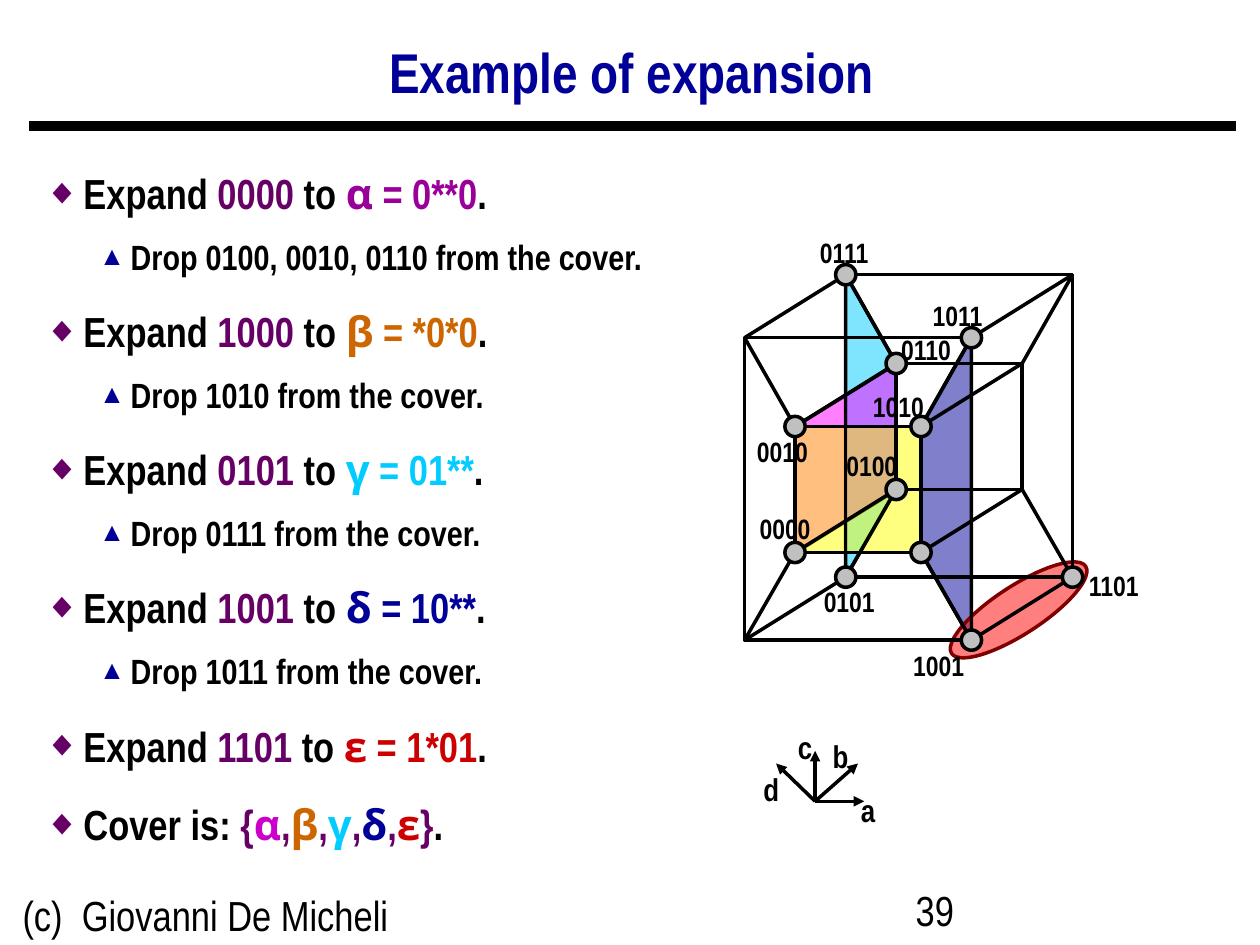
from itertools import product

from lxml.etree import SubElement
from pptx import Presentation
from pptx.dml.color import RGBColor
from pptx.enum.shapes import MSO_CONNECTOR as CONNECTOR, MSO_SHAPE as SHAPE
from pptx.enum.text import MSO_ANCHOR as ANCHOR, MSO_AUTO_SIZE as AUTO_SIZE, PP_ALIGN as ALIGN
from pptx.oxml.ns import qn
from pptx.util import Pt

BLACK = RGBColor(0x00, 0x00, 0x00)
NAVY = RGBColor(0x00, 0x00, 0x99)
PLUM = RGBColor(0x66, 0x00, 0x66)
PURPLE = RGBColor(0x99, 0x00, 0x99)
ORCHID = RGBColor(0xCC, 0x00, 0xCC)
ORANGE = RGBColor(0xCC, 0x66, 0x00)
CYAN = RGBColor(0x00, 0xCC, 0xFF)
CRIMSON = RGBColor(0xCC, 0x00, 0x00)
MAGENTA = RGBColor(0xFF, 0x00, 0xFF)
YELLOW = RGBColor(0xFF, 0xFF, 0x00)
RED = RGBColor(0xFF, 0x00, 0x00)
MAROON = RGBColor(0x80, 0x00, 0x00)
SILVER = RGBColor(0xC0, 0xC0, 0xC0)
NARROW, GREEK = "Arial Narrow", "Noto Sans"


def draw_line(shapes, start, end, width=2, arrow=False):
    line = shapes.add_connector(CONNECTOR.STRAIGHT, *map(Pt, start + end))
    line.line.color.rgb = BLACK
    line.line.width = Pt(width)
    if arrow:
        SubElement(line.line._get_or_add_ln(), qn("a:tailEnd"), type="triangle")
    SubElement(line._element.spPr, qn("a:effectLst"))


def write_text(shapes, text, box, size, bold=True, align=ALIGN.CENTER):
    frame = shapes.add_textbox(*map(Pt, box)).text_frame
    frame.word_wrap = align == ALIGN.LEFT
    frame.auto_size = AUTO_SIZE.NONE if frame.word_wrap else AUTO_SIZE.SHAPE_TO_FIT_TEXT
    paragraph = frame.paragraphs[0]
    paragraph.alignment = align
    run = paragraph.add_run()
    run.text = text
    for key, value in {"name": NARROW, "size": Pt(size), "bold": bold}.items():
        setattr(run.font, key, value)
    run.font.color.rgb = BLACK


prs = Presentation()
prs.slide_width, prs.slide_height = Pt(720), Pt(540)
slide = prs.slides.add_slide(prs.slide_layouts[1])
shapes = slide.shapes

# Rule and footer
draw_line(shapes, (16.5, 72), (706.5, 72), width=6)
write_text(shapes, "(c)  Giovanni De Micheli", (5.8, 504.7, 227.5, 37.4), 24, False, ALIGN.LEFT)
write_text(shapes, "39", (516.2, 501.8, 167.8, 37.4), 24, False, ALIGN.LEFT)

# Title and body frames
title, body = shapes.title, slide.placeholders[1]
for holder, box, anchor in ((title, (18.7, 15.8, 684.7, 54), ANCHOR.MIDDLE),
                            (body, (18, 85, 684.7, 409.7), ANCHOR.TOP)):
    holder.left, holder.top, holder.width, holder.height = map(Pt, box)
    holder.text_frame.auto_size = AUTO_SIZE.NONE
    holder.text_frame.vertical_anchor = anchor
heading = title.text_frame.paragraphs[0]
heading.text = "Example of expansion"
heading.alignment, heading.line_spacing = ALIGN.CENTER, 0.9
for key, value in {"name": NARROW, "size": Pt(32), "bold": True}.items():
    setattr(heading.runs[0].font, key, value)
heading.runs[0].font.color.rgb = NAVY

# Expansion steps: minterm, implicant letter, cube, colour, dropped minterms
steps = [
    ("0000", "α", "0**0", PURPLE, "0100, 0010, 0110"),
    ("1000", "β", "*0*0", ORANGE, "1010"),
    ("0101", "γ", "01**", CYAN, "0111"),
    ("1001", "δ", "10**", NAVY, "1011"),
    ("1101", "ε", "1*01", CRIMSON, None),
]
items = []
for minterm, letter, cube, color, dropped in steps:
    items.append((0, [("Expand ", BLACK), (minterm, PLUM), (" to ", BLACK),
                      (letter, color), (f" = {cube}", color), (".", BLACK)]))
    if dropped:
        items.append((1, [(f"Drop {dropped} from the cover.", BLACK)]))
cover = [("Cover is: ", BLACK), ("{", PLUM)]
for _, letter, _, color, _ in steps:
    cover += [(letter, ORCHID if letter == "α" else color), (",", PLUM)]
cover[-1] = ("}", PLUM)
items.append((0, cover + [(".", BLACK)]))

# Level: indent, hanging, spacing, space before, size, bullet, its colour and percentage
levels = [(22.5, 22.5, 1.25, 9, 24, "◆", PLUM, 85),
          (49.5, 18, 1.1, 7.5, 20, "▲", NAVY, 75)]
for index, (level, parts) in enumerate(items):
    indent, hanging, spacing, before, size, bullet, bullet_color, percent = levels[level]
    paragraph = body.text_frame.paragraphs[0] if index == 0 else body.text_frame.add_paragraph()
    paragraph.level = level
    props = paragraph._p.get_or_add_pPr()
    props.set("marL", str(Pt(indent)))
    props.set("indent", str(-Pt(hanging)))
    SubElement(SubElement(props, qn("a:buClr")), qn("a:srgbClr"), val=str(bullet_color))
    SubElement(props, qn("a:buSzPct"), val=str(percent * 1000))
    SubElement(props, qn("a:buChar"), char=bullet)
    paragraph.line_spacing = spacing
    paragraph.space_before = Pt(before if index else 0)
    for text, color in parts:
        run = paragraph.add_run()
        run.text = text
        font = GREEK if text in "αβγδε" else NARROW
        for key, value in {"name": font, "size": Pt(size), "bold": True}.items():
            setattr(run.font, key, value)
        run.font.color.rgb = color

# Axes
axes = shapes.add_group_shape().shapes
for tip in ((493.9, 457.9), (465.8, 429.1), (490.3, 436.3), (443.5, 436.3)):
    draw_line(axes, (465.8, 457.9), tip, arrow=True)
for name, left, top in (("a", 484.6, 448.6), ("b", 468.7, 417.6),
                        ("c", 448.6, 412.6), ("d", 429.1, 436.3)):
    write_text(axes, name, (left, top, 22.7, 28.8), 18)

# Hypercube corners: d picks inner or outer cube, b its back, a the right, c the top
corners = {}
for a, b, c, d in product((0, 1), repeat=4):
    left, bottom, width, height = (425.5, 365.8, 129.6, 172.8) if d else (454.3, 315.7, 72, 72)
    corners[f"{a}{b}{c}{d}"] = (left + a * width + b * 57.8, bottom - c * height - b * 36)

# Implicants
faces = []
for names, color in (("0101 0100 0110 0111", CYAN), ("1011 1010 1000 1001", NAVY)):
    points = [tuple(map(Pt, corners[name])) for name in names.split()]
    builder = shapes.build_freeform(*points[0])
    builder.add_line_segments(points[1:], close=True)
    faces.append((builder.convert_to_shape(), color, BLACK))
alpha = shapes.add_shape(SHAPE.PARALLELOGRAM, Pt(429.2), Pt(233), Pt(108), Pt(57.8))
alpha.adjustments[0] = 0.62
alpha.rotation = 90
alpha._element.spPr.find(qn("a:xfrm")).set("flipH", "1")
beta = shapes.add_shape(SHAPE.RECTANGLE, *map(Pt, corners["0010"]), Pt(72), Pt(72))
epsilon = shapes.add_shape(SHAPE.OVAL, Pt(536.4), Pt(334.8), Pt(91.4), Pt(27.4))
epsilon.rotation = 327
faces += [(alpha, MAGENTA, BLACK), (beta, YELLOW, BLACK), (epsilon, RED, MAROON)]
for face, color, outline in faces:
    face.shadow.inherit = False
    face.fill.solid()
    face.fill.fore_color.rgb = color
    SubElement(face.fill._xPr.find(qn("a:solidFill"))[0], qn("a:alpha"), val="50000")
    face.line.color.rgb = outline
    face.line.width = Pt(2)

# Four squares, then the edges along b and d that join them
for top_left, bottom_right in (("0010", "1000"), ("0110", "1100"),
                               ("0011", "1001"), ("0111", "1101")):
    (left, top), (right, bottom) = corners[top_left], corners[bottom_right]
    square = shapes.add_shape(SHAPE.RECTANGLE, *map(Pt, (left, top, right - left, bottom - top)))
    square.shadow.inherit = False
    square.fill.background()
    square.line.color.rgb = BLACK
    square.line.width = Pt(2)
for name in corners:
    for bit in (1, 3):
        if name[bit] == "0":
            draw_line(shapes, corners[name], corners[name[:bit] + "1" + name[bit + 1:]])

# Minterm labels
for name, left, top in (("1001", 514.4, 367.2), ("0111", 460.4, 131), ("1011", 525.2, 167),
                        ("0110", 507.2, 186.5), ("0010", 425.1, 244.8), ("0000", 426.6, 288.7),
                        ("0101", 463.3, 330.5), ("1101", 614.5, 321.1), ("0100", 476.2, 252.7),
                        ("1010", 491.4, 218.9)):
    write_text(shapes, name, (left, top, 44, 26.6), 16)

# Minterm nodes
for name in "0110 0010 0000 0100 1010 1000 0111 0101 1011 1001 1101".split():
    x, y = corners[name]
    node = shapes.add_shape(SHAPE.OVAL, Pt(x - 5.8), Pt(y - 5.8), Pt(11.6), Pt(11.6))
    node.shadow.inherit = False
    node.fill.solid()
    node.fill.fore_color.rgb = SILVER
    node.line.color.rgb = BLACK
    node.line.width = Pt(2)

prs.save("out.pptx")
